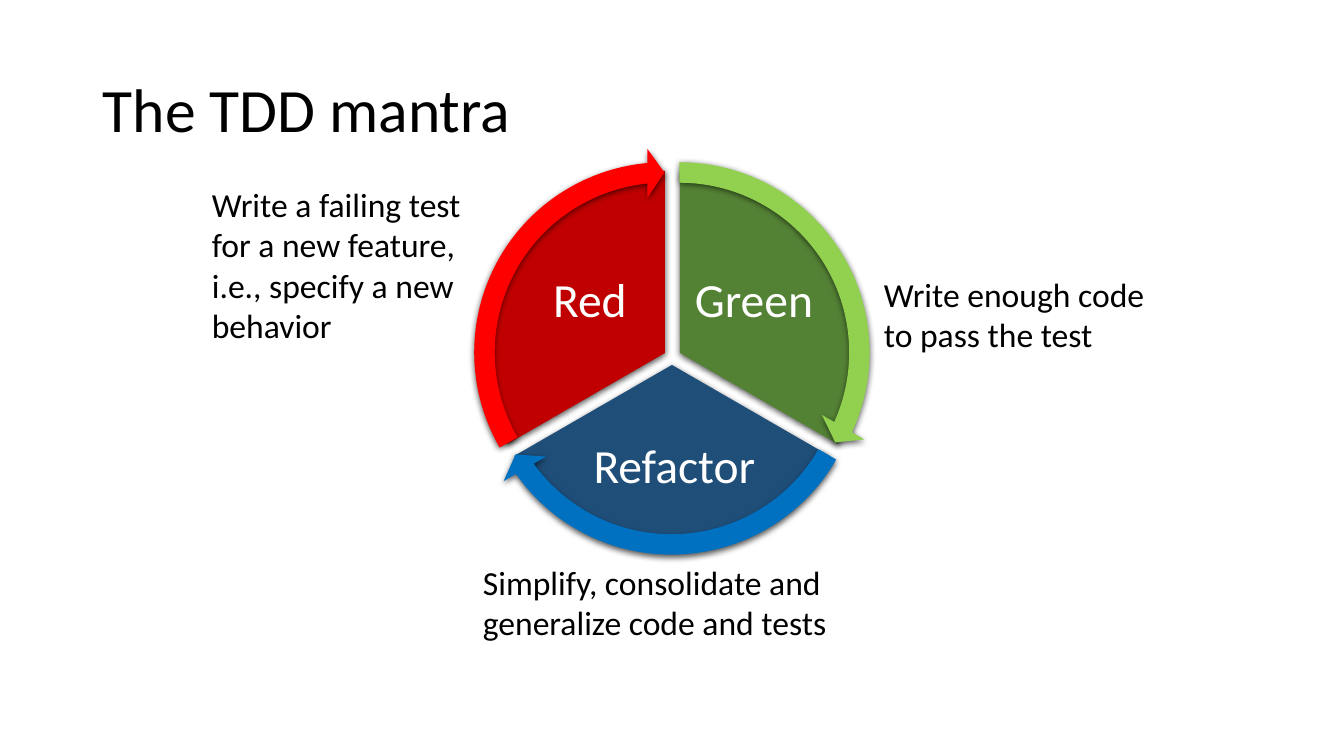
"""Builds the slide on the TDD mantra with its red, green, refactor cycle."""
import dataclasses

import lxml.etree
import pptx
import pptx.dml.color
import pptx.enum.shapes
import pptx.enum.text
import pptx.oxml.ns
import pptx.util

SHAPE = pptx.enum.shapes.MSO_SHAPE
ANCHOR = pptx.enum.text.MSO_ANCHOR
ALIGN = pptx.enum.text.PP_ALIGN
FIT = pptx.enum.text.MSO_AUTO_SIZE
EMU_PER_PIXEL = 914400 / 100.8


@dataclasses.dataclass(frozen=True)
class Theme:
    font: str = "Calibri"
    title_size: int = 44
    label_size: int = 34
    note_size: int = 24
    ink: str = "000000"
    label_ink: str = "FFFFFF"
    green: tuple = ("548235", "92D050")
    blue: tuple = ("1F4E79", "0070C0")
    red: tuple = ("C00000", "FF0000")


def px(length):
    return pptx.util.Emu(round(length * EMU_PER_PIXEL))


def rgb(code):
    return pptx.dml.color.RGBColor.from_string(code)


class Painter:
    def __init__(self, page, theme):
        self.page = page
        self.theme = theme

    def text(self, bounds, words, size, color, anchor=ANCHOR.TOP, align=ALIGN.LEFT,
             spacing=1.0, inset=None, fit=FIT.NONE):
        box = self.page.shapes.add_textbox(*map(px, bounds))
        frame = box.text_frame
        frame.word_wrap = True
        frame.auto_size = fit
        frame.vertical_anchor = anchor
        if inset is not None:
            frame.margin_left = frame.margin_right = px(inset)
            frame.margin_top = frame.margin_bottom = px(inset)
        para = frame.paragraphs[0]
        para.alignment = align
        para.line_spacing = spacing
        span = para.add_run()
        span.text = words
        span.font.name = self.theme.font
        span.font.size = pptx.util.Pt(size)
        span.font.color.rgb = rgb(color)

    def title(self, bounds, words):
        self.text(bounds, words, self.theme.title_size, self.theme.ink,
                  anchor=ANCHOR.MIDDLE, spacing=0.9)

    def label(self, bounds, words):
        self.text(bounds, words, self.theme.label_size, self.theme.label_ink,
                  anchor=ANCHOR.MIDDLE, align=ALIGN.CENTER, spacing=0.9, inset=5)

    def note(self, bounds, words):
        self.text(bounds, words, self.theme.note_size, self.theme.ink,
                  fit=FIT.SHAPE_TO_FIT_TEXT)

    def shape(self, kind, bounds, color, adjustments):
        shape = self.page.shapes.add_shape(kind, *map(px, bounds))
        for index, value in enumerate(adjustments):
            shape.adjustments[index] = value
        shape.fill.solid()
        shape.fill.fore_color.rgb = rgb(color)
        shape.line.fill.background()
        self.shadow(shape)

    def shadow(self, shape):
        qn = pptx.oxml.ns.qn
        shape.shadow.inherit = False
        effects = shape._element.spPr.find(qn("a:effectLst"))
        outer = lxml.etree.SubElement(
            effects, qn("a:outerShdw"), blurRad=str(pptx.util.Pt(4.5)),
            dist=str(pptx.util.Pt(1.5)), dir="5400000", algn="ctr", rotWithShape="0")
        black = lxml.etree.SubElement(outer, qn("a:srgbClr"), val="000000")
        lxml.etree.SubElement(black, qn("a:alpha"), val="63000")


deck = pptx.Presentation()
deck.slide_width, deck.slide_height = px(1344), px(756)
theme = Theme()
painter = Painter(deck.slides.add_slide(deck.slide_layouts[6]), theme)

painter.title((93, 40, 1159, 146), "The TDD mantra")

FULL_TURN, THIRD = 216, 72
PIE_SIZE, ARROW_SIZE, ARROW_OFFSET = 364, 409, 23
BAND, HEAD_ANGLE, HEAD_WIDTH = 0.05, 3.28, 0.06
steps = [
    ("Green", theme.green, 162, (498, 171), (689, 248, 130, 108)),
    ("Refactor", theme.blue, 18, (490, 183), (577, 420, 195, 96)),
    ("Red", theme.red, 90, (483, 171), (525, 248, 130, 108)),
]
for name, (dark, _), start, (left, top), label_bounds in steps:
    end = (start + THIRD) % FULL_TURN
    painter.shape(SHAPE.PIE, (left, top, PIE_SIZE, PIE_SIZE), dark, (start, end))
    painter.label(label_bounds, name)
for _, (_, bright), start, (left, top), _ in steps:
    end = (start + THIRD) % FULL_TURN
    painter.shape(
        SHAPE.CIRCULAR_ARROW,
        (left - ARROW_OFFSET, top - ARROW_OFFSET, ARROW_SIZE, ARROW_SIZE), bright,
        (BAND, HEAD_ANGLE, end - HEAD_ANGLE, start, HEAD_WIDTH))

painter.note((202, 179, 302, 173),
             "Write a failing test for a new feature, i.e., specify a new behavior")
painter.note((874, 269, 302, 92), "Write enough code to pass the test")
painter.note((473, 557, 397, 92), "Simplify, consolidate and generalize code and tests")

deck.save("out.pptx")
